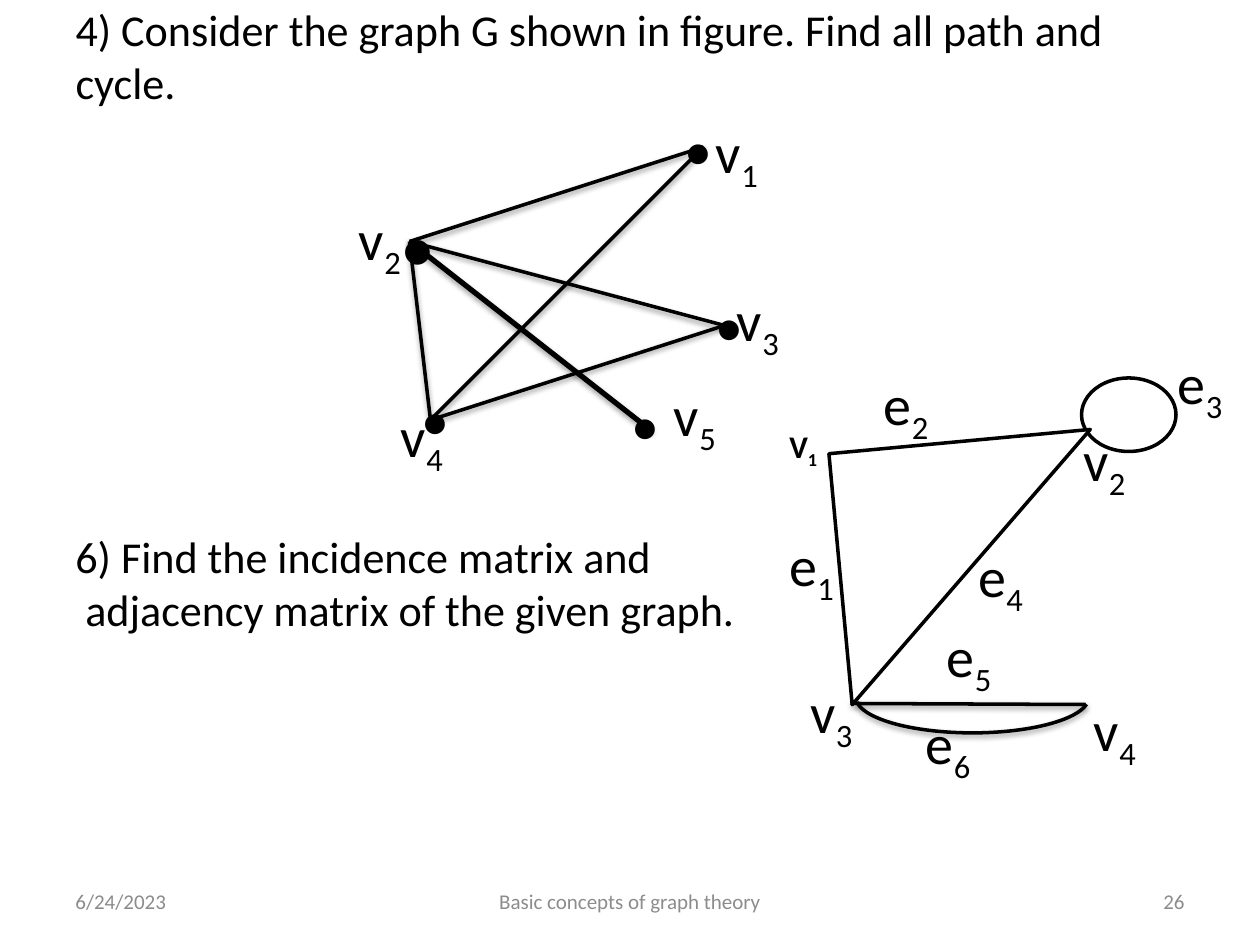
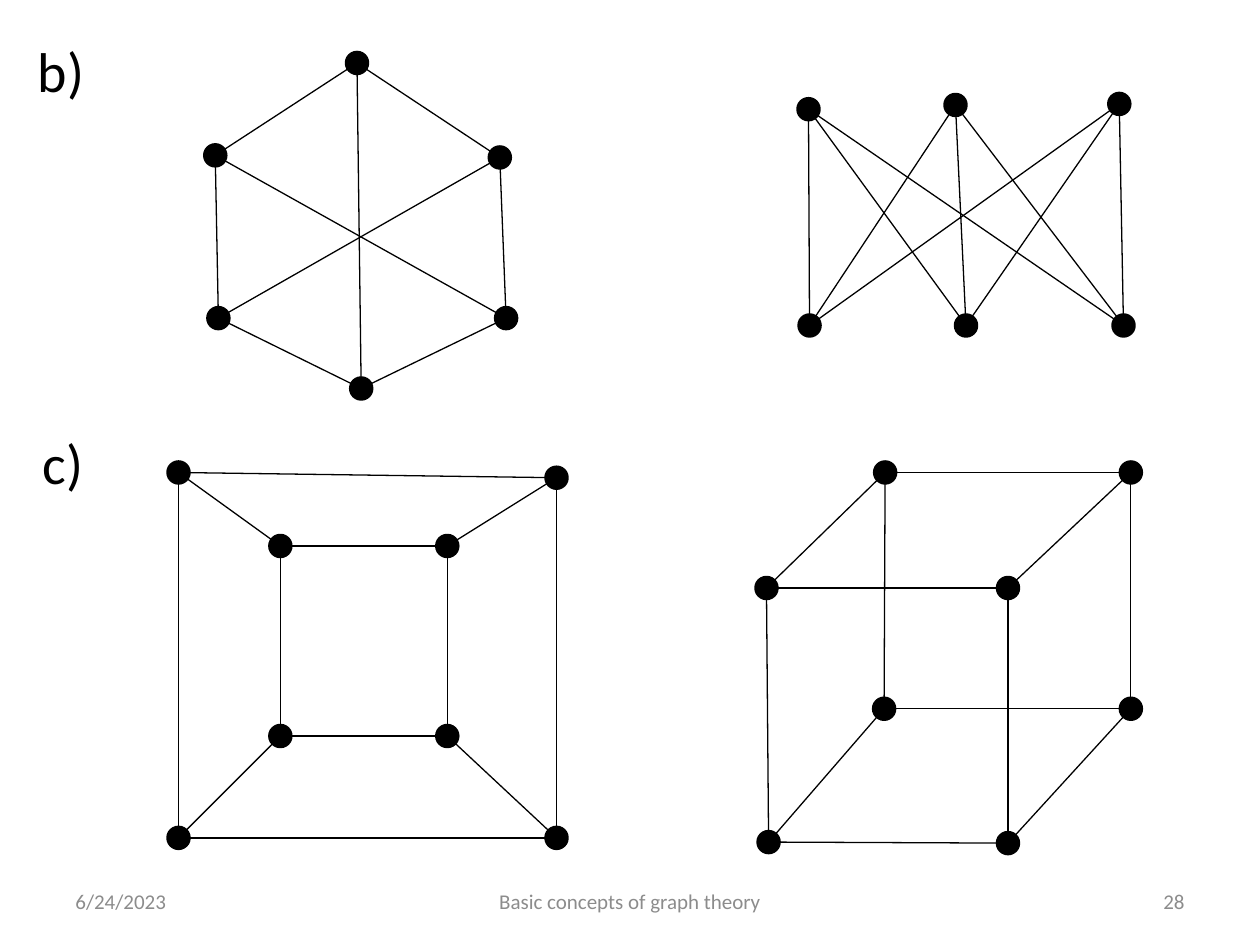
from itertools import product

from lxml import etree
from pptx import Presentation
from pptx import util as u
from pptx.dml.color import RGBColor
from pptx.enum import shapes, text
from pptx.oxml.ns import qn

COLS, ROWS = 120, 90
WIDE, HIGH = u.Inches(10), u.Inches(7.5)
HUES = {"ink": "000000", "paper": "FFFFFF", "foot": "8C8C8C"}
FONT = "Calibri"
LEFT, MID, RIGHT = text.PP_ALIGN.LEFT, text.PP_ALIGN.CENTER, text.PP_ALIGN.RIGHT
TOP, HALF = text.MSO_ANCHOR.TOP, text.MSO_ANCHOR.MIDDLE
KIND = shapes.MSO_SHAPE
LABEL = (8, 7.7)


def hue(name):
    return RGBColor.from_string(HUES[name])


def spot(col, row):
    return u.Emu(round(WIDE * col / COLS)), u.Emu(round(HIGH * row / ROWS))


def area(col, row, wide, high):
    return *spot(col, row), *spot(wide, high)


def style(para, size, color="ink", align=LEFT, bold=False):
    para.alignment = align
    font = para.font
    font.name, font.size, font.bold = FONT, u.Pt(size), bold
    font.color.rgb = hue(color)


def write(slide, box, lines, size, color="ink", align=LEFT, anchor=HALF, bold=False):
    frame = slide.shapes.add_textbox(*area(*box)).text_frame
    frame.word_wrap, frame.vertical_anchor = True, anchor
    for i, line in enumerate(lines):
        para = frame.add_paragraph() if i else frame.paragraphs[0]
        para.add_run().text = line
        style(para, size, color, align, bold)
    return frame


def label(slide, name, col, row, size=32, bold=False, anchor=HALF, box=LABEL):
    frame = write(slide, (col, row, *box), [name[0]], size, anchor=anchor, bold=bold)
    low = frame.paragraphs[0].add_run()
    low.text = name[1:]
    low.font._element.set("baseline", "-25000")


def shade(shape):
    props = shape._element.spPr
    for old in props.findall(qn("a:effectLst")):
        props.remove(old)
    glow = etree.SubElement(etree.SubElement(props, qn("a:effectLst")), qn("a:outerShdw"),
                            blurRad="40000", dist="20000", dir="5400000", rotWithShape="0")
    tint = etree.SubElement(glow, qn("a:srgbClr"), val=HUES["ink"])
    etree.SubElement(tint, qn("a:alpha"), val="38000")


def edge(slide, start, end, width=0.75, soft=False):
    line = slide.shapes.add_connector(shapes.MSO_CONNECTOR.STRAIGHT, *spot(*start), *spot(*end))
    line.line.color.rgb, line.line.width = hue("ink"), u.Pt(width)
    if soft:
        shade(line)
    else:
        etree.SubElement(line._element.spPr, qn("a:effectLst"))


def form(slide, kind, box, fill=None, turn=0, tweaks=()):
    shape = slide.shapes.add_shape(kind, *area(*box))
    shape.shadow.inherit = False
    shape.rotation = turn
    for i, value in enumerate(tweaks):
        shape.adjustments[i] = value
    if fill:
        shape.fill.solid()
        shape.fill.fore_color.rgb = hue(fill)
    else:
        shape.fill.background()
    shape.line.color.rgb, shape.line.width = hue("ink"), u.Pt(2)
    return shape


def graph(slide, nodes, pairs):
    for a, b in pairs:
        edge(slide, nodes[a], nodes[b])
    for col, row in nodes:
        form(slide, KIND.OVAL, (col - 1, row - 1, 2, 2), "ink")


def ring(size, first=0):
    return [(first + i, first + (i + 1) % size) for i in range(size)]


def foot(slide, number):
    for col, wide, words, align in ((6, 28, "6/24/2023", LEFT),
                                    (41, 38, "Basic concepts of graph theory", MID),
                                    (86, 28, number, RIGHT)):
        write(slide, (col, 83.4, wide, 4.8), [words], 12, "foot", align)


def head(slide, words):
    title = slide.shapes.title
    title.left, title.top, title.width, title.height = area(6, 0, 110, 10.5)
    frame = title.text_frame
    frame.text = words
    frame.word_wrap, frame.vertical_anchor = True, HALF
    frame.auto_size = text.MSO_AUTO_SIZE.NONE
    frame.margin_top = frame.margin_bottom = 0
    style(frame.paragraphs[0], 25.2)


def paths(slide):
    nodes = {"v1": (67, 14), "v2": (39, 23), "v3": (69, 31), "v4": (41, 40), "v5": (62, 41)}
    for a, b, width in (("v2", "v5", 3), ("v3", "v4", 2), ("v3", "v2", 2),
                        ("v1", "v4", 2), ("v2", "v4", 2), ("v1", "v2", 2)):
        edge(slide, nodes[a], nodes[b], width, True)
    for col, row, size in ((37, 18.7, 40), (39, 36, 32), (64, 10.3, 32),
                           (67, 27, 32), (59, 36.4, 32)):
        write(slide, (col, row, 8, 9.2 if size == 40 else 7.7), ["•"], size)
    for name, col, row in (("v1", 67, 11), ("v2", 33, 19.3), ("v3", 69, 27),
                           ("v4", 37, 38), ("v5", 63, 36)):
        label(slide, name, col, row)


def loops(slide):
    edge(slide, (81, 67), (103.4, 67.1), 2, True)
    form(slide, KIND.OVAL, (103, 36, 9, 7), "paper")
    form(slide, KIND.ISOSCELES_TRIANGLE, (80, 42, 25, 24), "paper", 174.7, [1])
    shade(form(slide, KIND.ARC, (89.2, 55.3, 6.8, 22.2), None, 90, [164.13, 52.56]))
    label(slide, "V1", 74, 40.1, 18, True, TOP, (5.4, 7.9))
    for name, col, row in (("v2", 102, 40.3), ("v3", 76, 64.3), ("v4", 103, 66),
                           ("e1", 74, 50.3), ("e2", 83, 35), ("e3", 111, 33),
                           ("e4", 92, 51.4), ("e5", 89, 59), ("e6", 87, 67.3)):
        label(slide, name, col, row)


def tasks(deck):
    slide = deck.slides.add_slide(deck.slide_layouts[5])
    head(slide, "4) Consider the graph G shown in figure. Find all path and cycle.")
    ask = write(slide, (6, 49.3, 68, 12.4),
                ["6) Find the incidence matrix and", "adjacency matrix of the given graph."], 25.2)
    ask.paragraphs[1]._p.get_or_add_pPr().set("marL", str(spot(0.95, 0)[0]))
    foot(slide, "26")
    paths(slide)
    loops(slide)


def pairs(deck):
    slide = deck.slides.add_slide(deck.slide_layouts[6])
    foot(slide, "28")
    write(slide, (2.4, 2.9, *LABEL), ["b)"], 32, anchor=TOP)
    write(slide, (2.9, 40.2, *LABEL), ["c)"], 32, anchor=TOP)
    wheel = [(34, 6), (47.6, 15), (48.2, 30.3), (34.4, 37), (20.8, 30.3), (20.5, 14.8)]
    graph(slide, wheel, ring(6) + [(i, i + 3) for i in range(3)])
    split = [(77, 10.4), (91, 10), (106.6, 9.9), (77.1, 31), (92, 31), (107, 31)]
    graph(slide, split, product(range(3), range(3, 6)))
    cube = ring(4) + ring(4, 4) + [(i, i + 4) for i in range(4)]
    flat = [(17, 45), (53, 45.5), (53, 79.8), (17, 79.8),
            (26.7, 52), (42.6, 52), (42.6, 70.1), (26.7, 70.1)]
    solid = [(84.3, 45), (107.7, 45), (107.7, 67.5), (84.2, 67.5),
             (73, 56), (96, 56), (96, 80.3), (73.2, 80.2)]
    for nodes in (flat, solid):
        graph(slide, nodes, cube)


def main():
    deck = Presentation()
    deck.slide_width, deck.slide_height = WIDE, HIGH
    tasks(deck)
    pairs(deck)
    deck.save("out.pptx")


if __name__ == "__main__":
    main()
